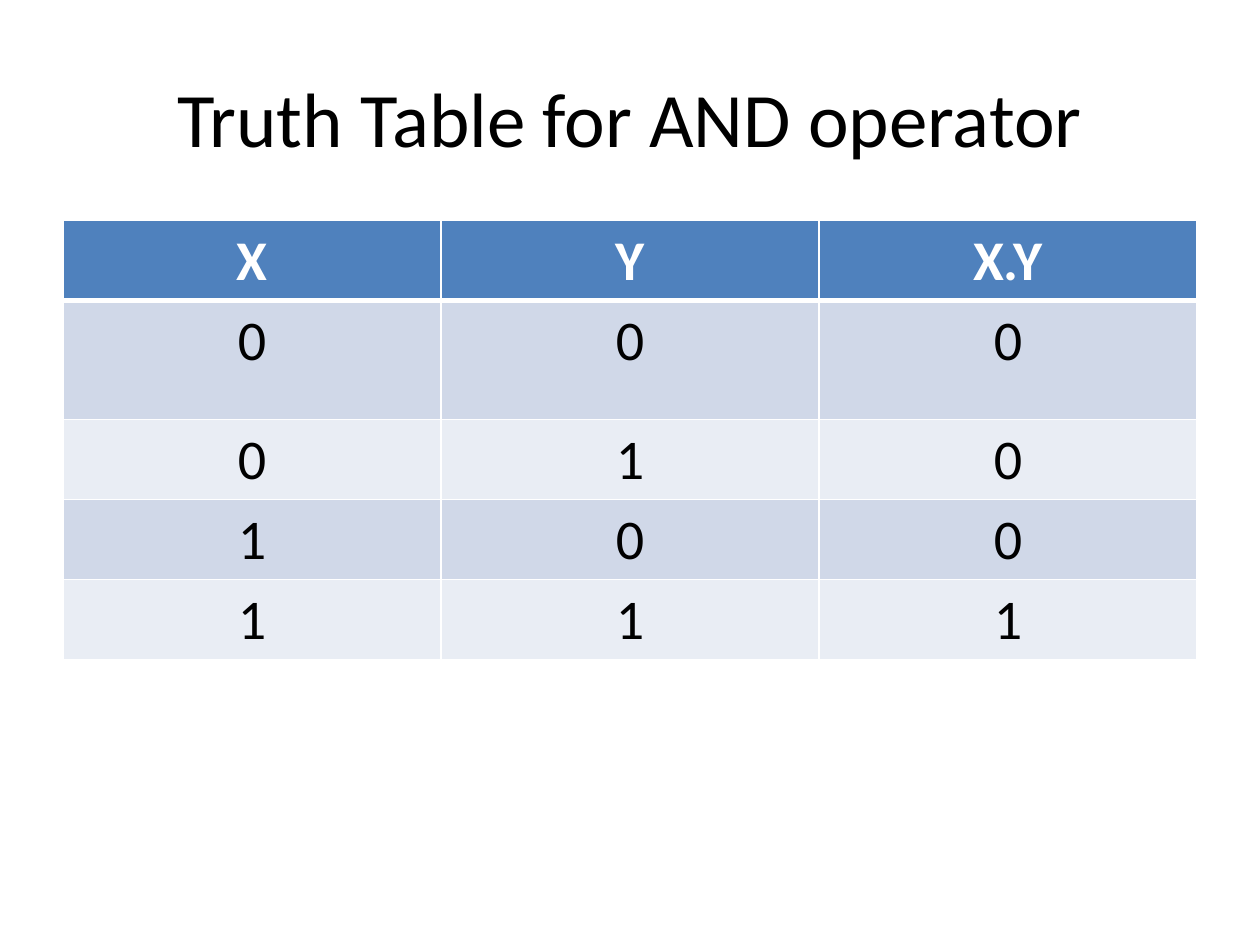
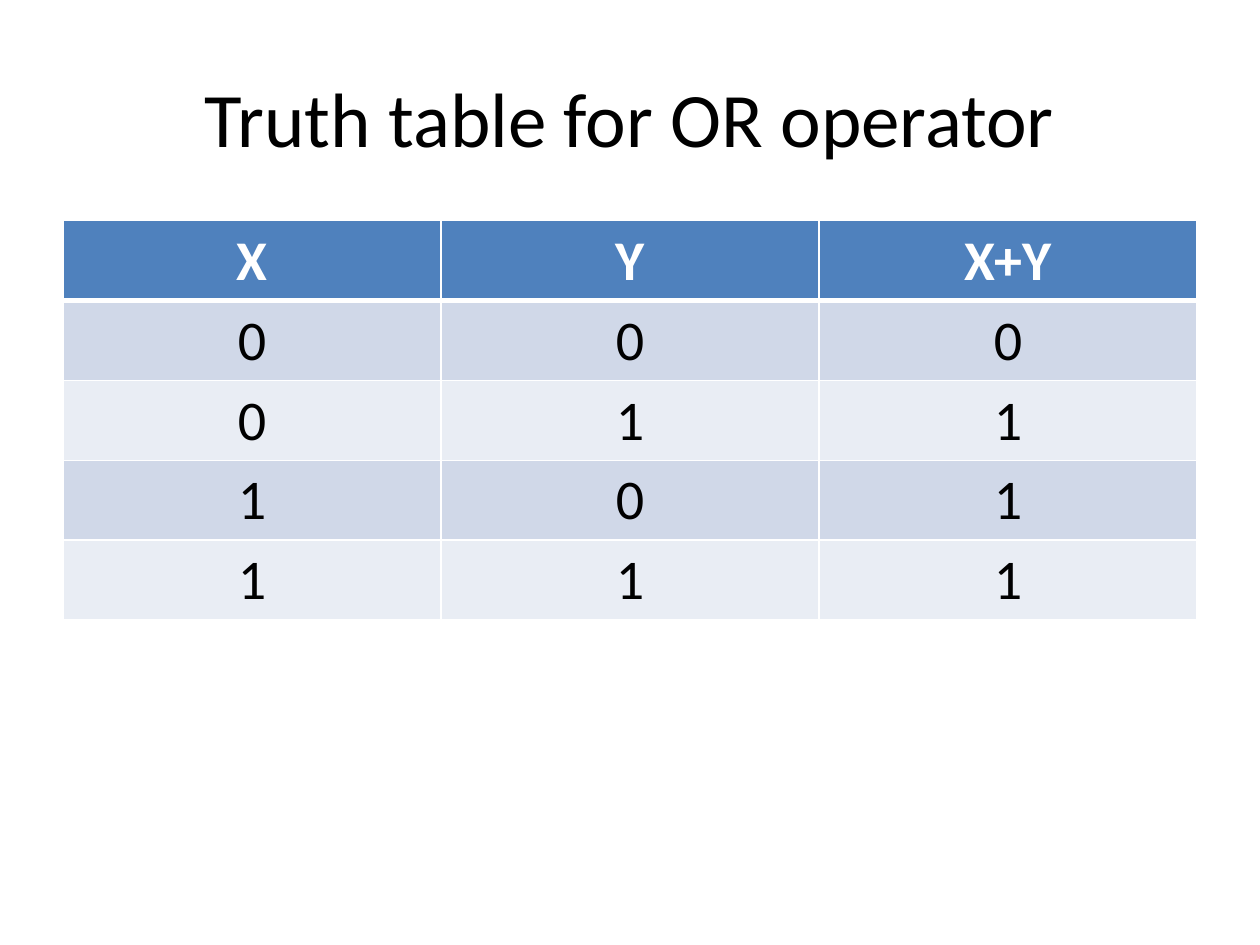
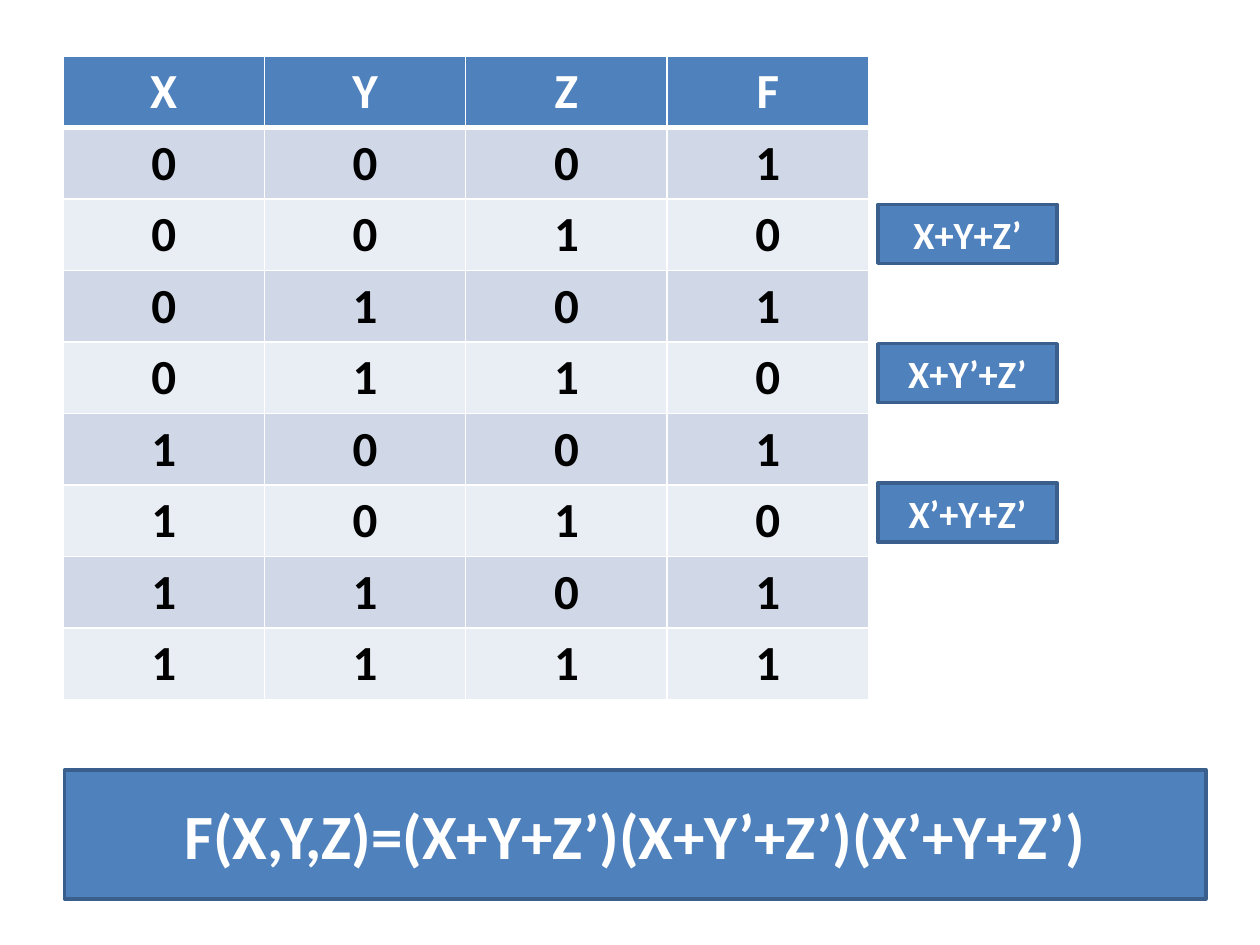
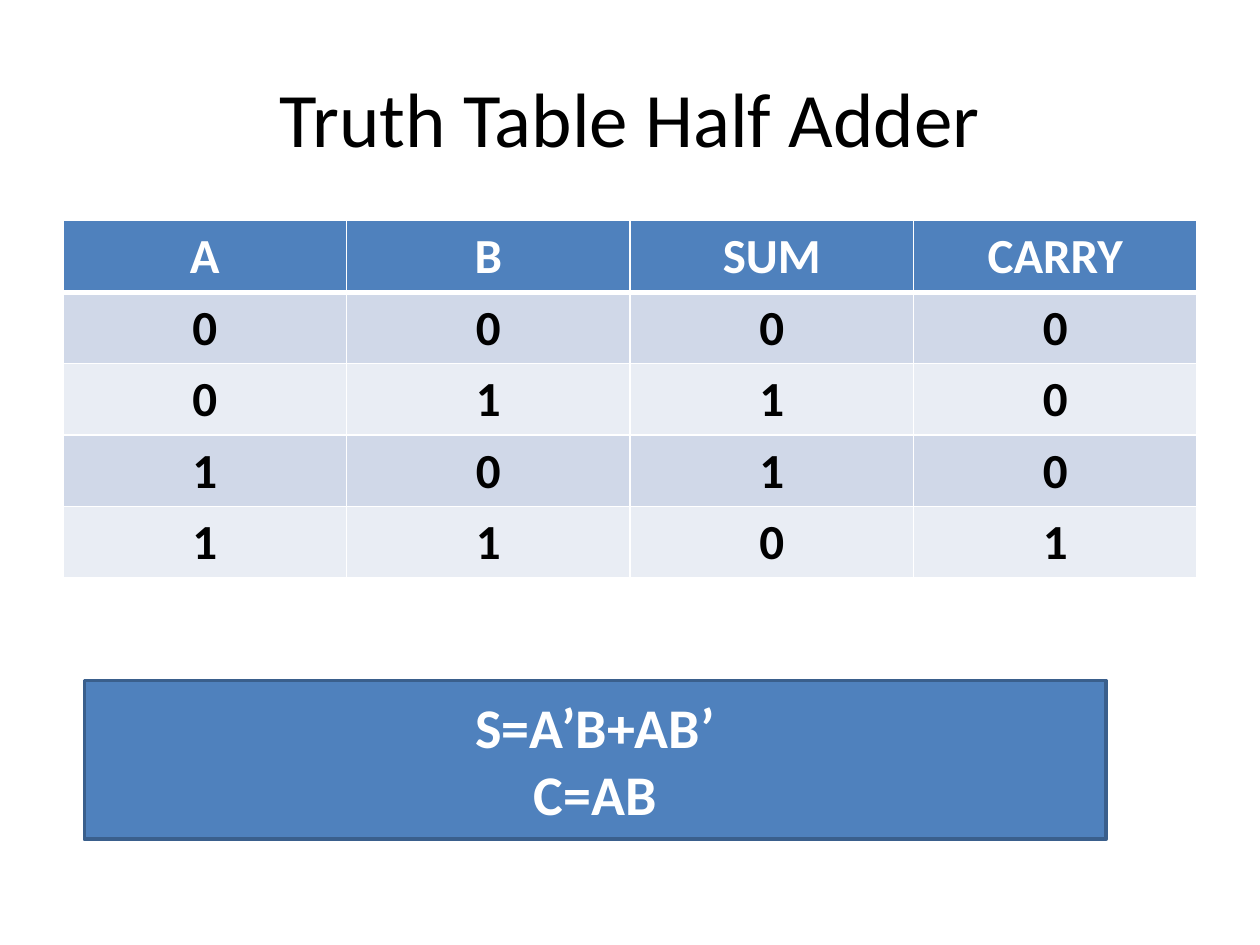
from dataclasses import dataclass, field

from lxml import etree
from pptx import Presentation
from pptx import util as u
from pptx.dml.color import RGBColor
from pptx.enum import shapes, text
from pptx.oxml import ns

# Shared look
COLORS = {
    "white": "FFFFFF",
    "black": "000000",
    "accent": "4F81BD",
    "outline": "3A5F8C",
    "odd_row": "D0D8E8",
    "even_row": "E9EDF4",
}
FONT = "Calibri"
MARGIN = 1.27
CONTENT_WIDTH = 22.86
TABLE_TOP = 4.45
THIN, THICK = 1, 3
ROW_HEIGHTS = {32: 1.61, 28: 1.44}  # cm, by text size in points


@dataclass
class TruthTable:
    header: list[str]
    rows: list[str]  # one digit per column
    size: int
    bold_body: bool = False
    top: float = TABLE_TOP
    width: float = CONTENT_WIDTH
    tall_rows: dict[int, float] = field(default_factory=dict)


@dataclass
class FormulaBox:
    lines: list[str]
    left: float
    top: float
    width: float
    height: float
    size: int


@dataclass
class Page:
    table: TruthTable
    title: str = ""
    boxes: list[FormulaBox] = field(default_factory=list)


def rgb(name: str) -> RGBColor:
    return RGBColor.from_string(COLORS[name])


def write(frame, lines: list[str], size: int, color: str, bold: bool = False) -> None:
    """Fill a text frame with centred lines in the shared font."""
    frame.text = "\n".join(lines)
    for para in frame.paragraphs:
        para.alignment = text.PP_ALIGN.CENTER
        for span in para.runs:
            span.font.name = FONT
            span.font.size = u.Pt(size)
            span.font.bold = bold
            span.font.color.rgb = rgb(color)


def add_title(page, title: str) -> None:
    box = page.shapes.add_textbox(
        u.Cm(MARGIN), u.Cm(0.76), u.Cm(CONTENT_WIDTH), u.Cm(3.18))
    box.text_frame.word_wrap = True
    box.text_frame.vertical_anchor = text.MSO_ANCHOR.MIDDLE
    write(box.text_frame, [title], 44, "black")


def set_borders(cell, top: int, bottom: int) -> None:
    """Draw white borders; they must come before the fill in the cell."""
    properties = cell._tc.get_or_add_tcPr()
    widths = {"lnL": THIN, "lnR": THIN, "lnT": top, "lnB": bottom}
    for position, (side, width) in enumerate(widths.items()):
        line = etree.Element(ns.qn(f"a:{side}"), w=str(u.Pt(width)))
        fill = etree.SubElement(line, ns.qn("a:solidFill"))
        etree.SubElement(fill, ns.qn("a:srgbClr"), val=COLORS["white"])
        properties.insert(position, line)


def add_truth_table(page, spec: TruthTable) -> None:
    grid = [spec.header, *spec.rows]
    row_height = ROW_HEIGHTS[spec.size]
    frame = page.shapes.add_table(
        len(grid), len(spec.header), u.Cm(MARGIN), u.Cm(spec.top),
        u.Cm(spec.width), u.Cm(row_height * len(grid)))
    table = frame.table
    for row_index, values in enumerate(grid):
        is_header = row_index == 0
        if is_header:
            fill = "accent"
        else:
            fill = "odd_row" if row_index % 2 else "even_row"
        table.rows[row_index].height = u.Cm(spec.tall_rows.get(row_index, row_height))
        for column, value in enumerate(values):
            cell = table.cell(row_index, column)
            cell.fill.solid()
            cell.fill.fore_color.rgb = rgb(fill)
            set_borders(cell, THICK if row_index == 1 else THIN,
                        THICK if is_header else THIN)
            write(cell.text_frame, [value], spec.size,
                  "white" if is_header else "black", is_header or spec.bold_body)


def add_formula(page, spec: FormulaBox) -> None:
    box = page.shapes.add_shape(
        shapes.MSO_SHAPE.RECTANGLE, u.Cm(spec.left), u.Cm(spec.top),
        u.Cm(spec.width), u.Cm(spec.height))
    box.shadow.inherit = False
    box.fill.solid()
    box.fill.fore_color.rgb = rgb("accent")
    box.line.color.rgb = rgb("outline")
    box.line.width = u.Pt(2)
    box.text_frame.word_wrap = True
    box.text_frame.vertical_anchor = text.MSO_ANCHOR.MIDDLE
    write(box.text_frame, spec.lines, spec.size, "white", bold=True)


# Content
MAXTERMS = ["X+Y+Z’", "X+Y’+Z’", "X’+Y+Z’"]
MAXTERM_BOXES = [
    FormulaBox([term], 17.7, 4.12 + 2.81 * index, 3.61, 1.19, 22)
    for index, term in enumerate(MAXTERMS)
]
PRODUCT = "F(X,Y,Z)=" + "".join(f"({term})" for term in MAXTERMS)

PAGES = [
    Page(
        TruthTable(["X", "Y", "X.Y"], ["000", "010", "100", "111"], 32,
                   tall_rows={1: 2.4}),
        "Truth Table for AND operator",
    ),
    Page(
        TruthTable(["X", "Y", "X+Y"], ["000", "011", "101", "111"], 32),
        "Truth table for OR operator",
    ),
    Page(
        TruthTable(
            ["X", "Y", "Z", "F"],
            ["0001", "0010", "0101", "0110", "1001", "1010", "1101", "1111"],
            28, bold_body=True, top=1.13, width=16.24),
        boxes=[*MAXTERM_BOXES, FormulaBox([PRODUCT], 1.3, 15.52, 23.01, 2.6, 36)],
    ),
    Page(
        TruthTable(["A", "B", "SUM", "CARRY"], ["0000", "0110", "1010", "1101"],
                   28, bold_body=True),
        "Truth Table Half Adder",
        [FormulaBox(["S=A’B+AB’", "C=AB"], 1.7, 13.72, 20.6, 3.2, 32)],
    ),
]


def main() -> None:
    deck = Presentation()
    deck.slide_width, deck.slide_height = u.Cm(25.4), u.Cm(19.05)
    blank = deck.slide_layouts[6]
    for spec in PAGES:
        page = deck.slides.add_slide(blank)
        if spec.title:
            add_title(page, spec.title)
        add_truth_table(page, spec.table)
        for box in spec.boxes:
            add_formula(page, box)
    deck.save("out.pptx")


if __name__ == "__main__":
    main()
